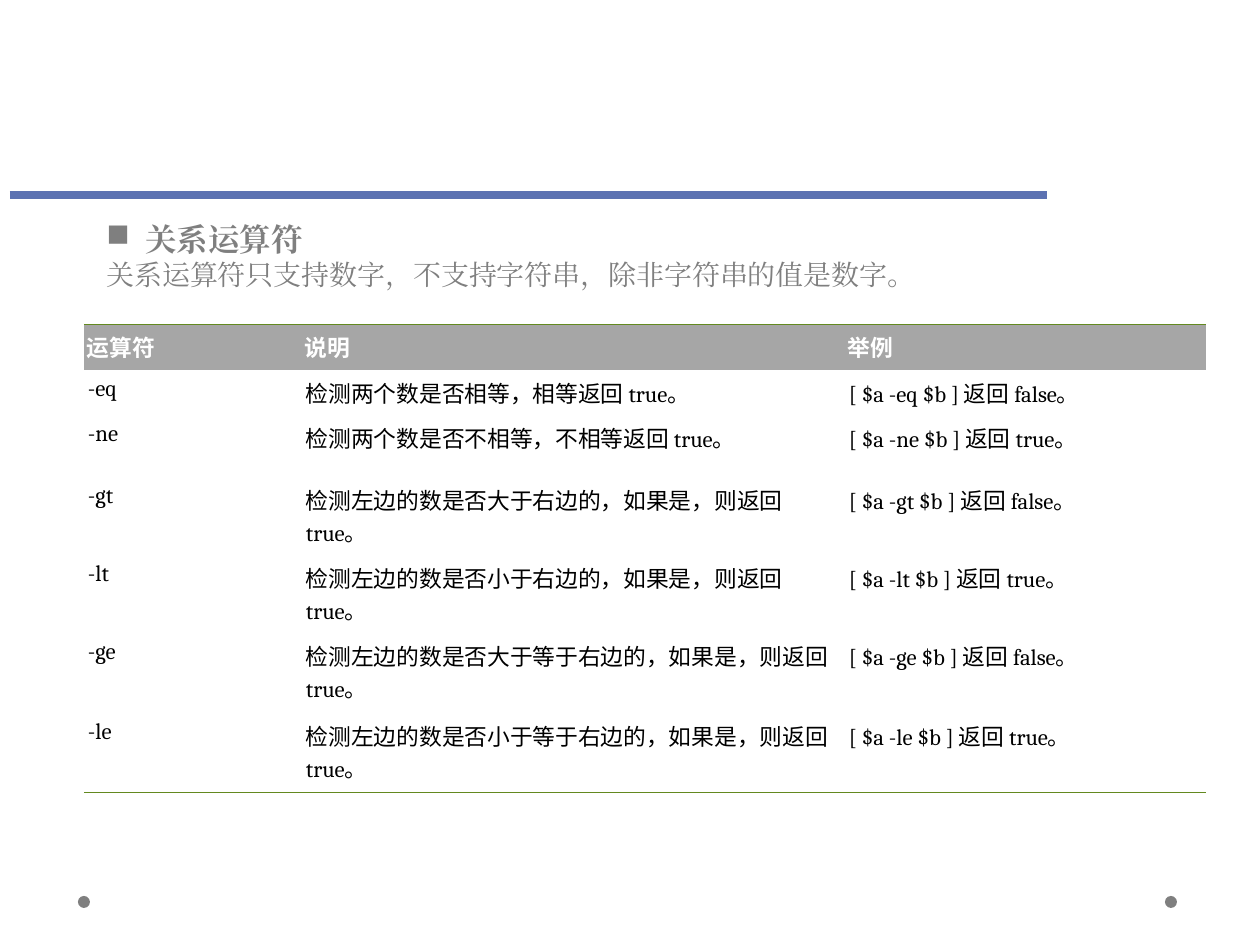
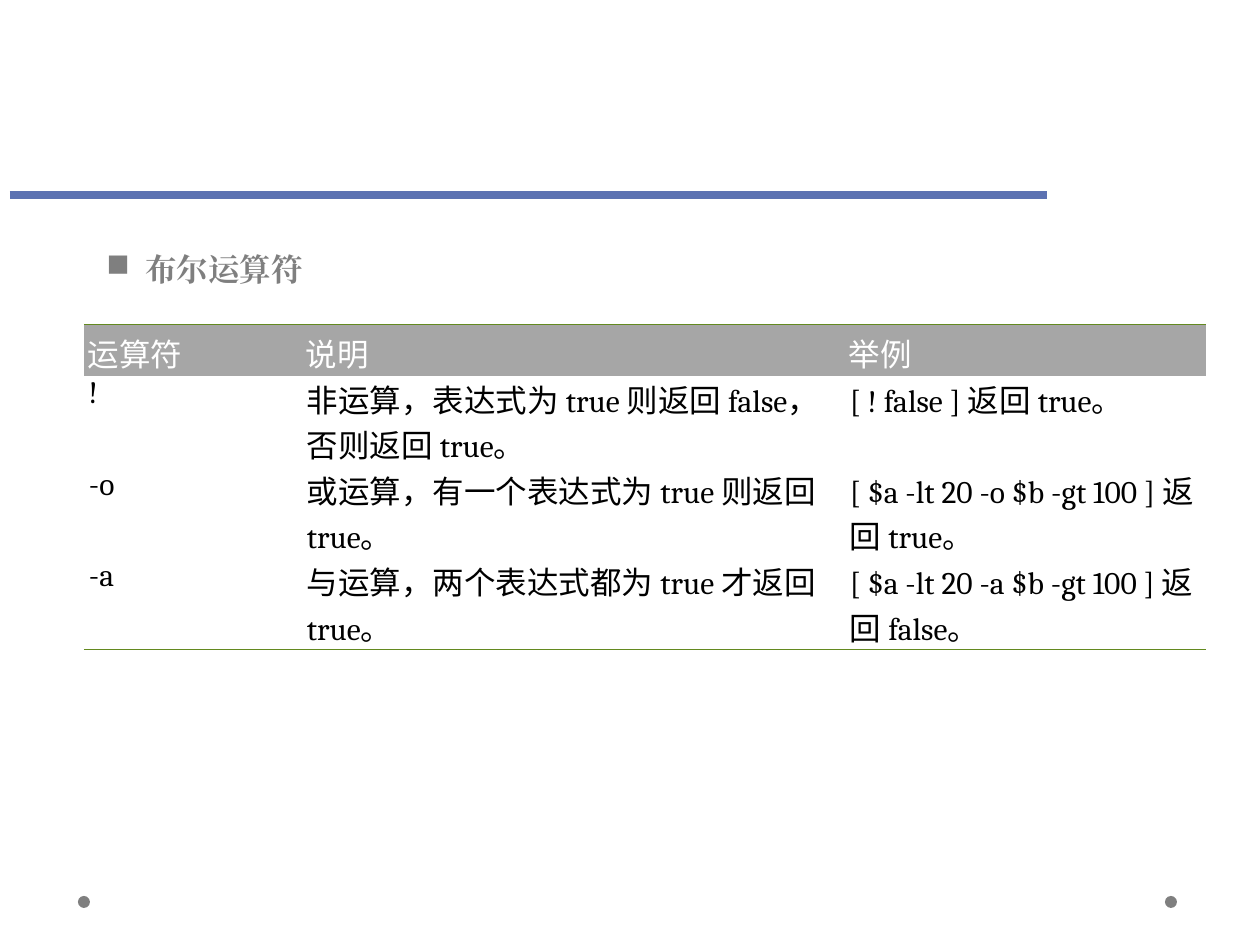
"""Build two slides on shell relational and boolean operators."""
from dataclasses import dataclass

from lxml import etree
from pptx import Presentation
from pptx import util as u
from pptx.dml.color import RGBColor
from pptx.enum import shapes, text
from pptx.oxml.ns import qn

PX_PER_INCH = 126
FONT = "Cambria"
GREY, HEADER_GREY, WHITE, BLACK = "7F7F7F", "A6A6A6", "FFFFFF", "000000"
RULE_BLUE, BORDER_GREEN = "5C72B2", "63891F"
NO_STYLE = "{2D5ABB26-0587-4C30-8999-92F81FD0307C}"
COLUMNS = (218, 543, 361)
TABLE_LEFT, TABLE_TOP = 84, 324
DOT_LEFTS, DOT_TOP, DOT_SIZE = (1165, 78), 896, 12
HEADINGS = ("运算符", "说明", "举例")


@dataclass(frozen=True)
class Insets:
    side: int
    top: int
    bottom: int


@dataclass(frozen=True)
class OperatorTable:
    rows: tuple[tuple[str, str, str], ...]
    heights: tuple[int, ...]
    size: int
    bold_header: bool
    header_insets: Insets
    body_insets: Insets


@dataclass(frozen=True)
class Topic:
    title: str
    box: tuple[int, int, int, int]
    operators: OperatorTable
    remark: str = ""


TOPICS = (
    Topic(
        "关系运算符",
        (94, 214, 873, 84),
        OperatorTable(
            (
                ("-eq", "检测两个数是否相等，相等返回 true。", "[ $a -eq $b ] 返回 false。"),
                ("-ne", "检测两个数是否不相等，不相等返回 true。", "[ $a -ne $b ] 返回 true。"),
                ("-gt", "检测左边的数是否大于右边的，如果是，则返回 true。", "[ $a -gt $b ] 返回 false。"),
                ("-lt", "检测左边的数是否小于右边的，如果是，则返回 true。", "[ $a -lt $b ] 返回 true。"),
                ("-ge", "检测左边的数是否大于等于右边的，如果是，则返回 true。", "[ $a -ge $b ] 返回 false。"),
                ("-le", "检测左边的数是否小于等于右边的，如果是，则返回 true。", "[ $a -le $b ] 返回 true。"),
            ),
            (46, 45, 62, 78, 78, 80, 80),
            13,
            True,
            Insets(3, 6, 6),
            Insets(4, 6, 6),
        ),
        "关系运算符只支持数字，不支持字符串，除非字符串的值是数字。",
    ),
    Topic(
        "布尔运算符",
        (94, 244, 630, 50),
        OperatorTable(
            (
                ("!", "非运算，表达式为 true 则返回 false，否则返回 true。", "[ ! false ] 返回 true。"),
                ("-o", "或运算，有一个表达式为 true 则返回 true。", "[ $a -lt 20 -o $b -gt 100 ] 返回 true。"),
                ("-a", "与运算，两个表达式都为 true 才返回 true。", "[ $a -lt 20 -a $b -gt 100 ] 返回 false。"),
            ),
            (51, 91, 91, 91),
            18,
            False,
            Insets(4, 6, 0),
            Insets(5, 0, 0),
        ),
    ),
)


def px(length: int) -> u.Emu:
    """Turn pixels into EMU."""
    return u.Emu(round(length * 914400 / PX_PER_INCH))


def colour(value: str) -> RGBColor:
    """Turn a hex string into a colour."""
    return RGBColor.from_string(value)


def add_run(paragraph, words: str, size: int, ink: str, bold: bool):
    """Add one styled run to a paragraph."""
    run = paragraph.add_run()
    run.text = words
    run.font.name = FONT
    run.font.size = u.Pt(size)
    run.font.bold = bold
    run.font.color.rgb = colour(ink)
    return run


def add_frame(slide) -> None:
    """Draw the title rule and the two footer dots."""
    for left in DOT_LEFTS:
        dot = slide.shapes.add_shape(
            shapes.MSO_SHAPE.OVAL, px(left), px(DOT_TOP), px(DOT_SIZE), px(DOT_SIZE)
        )
        dot.shadow.inherit = False
        dot.fill.solid()
        dot.fill.fore_color.rgb = colour(GREY)
        dot.line.fill.background()
    rule = slide.shapes.add_connector(
        shapes.MSO_CONNECTOR.STRAIGHT, px(10), px(195), px(1047), px(195)
    )
    rule.line.color.rgb = colour(RULE_BLUE)
    rule.line.width = u.Pt(4.5)
    etree.SubElement(rule._element.spPr, qn("a:effectLst"))


def add_border(cell, edge: str) -> None:
    """Draw a thin green border on one edge of a cell."""
    border = etree.Element(qn(edge), w=str(u.Pt(0.45)))
    fill = etree.SubElement(border, qn("a:solidFill"))
    etree.SubElement(fill, qn("a:srgbClr"), val=BORDER_GREEN)
    cell._tc.get_or_add_tcPr().insert(0, border)


def fill_cell(cell, words: str, operators: OperatorTable, is_header: bool) -> None:
    """Write and style one table cell."""
    insets = operators.header_insets if is_header else operators.body_insets
    cell.margin_left = cell.margin_right = px(insets.side)
    cell.margin_top, cell.margin_bottom = px(insets.top), px(insets.bottom)
    cell.vertical_anchor = text.MSO_ANCHOR.TOP
    if is_header:
        cell.fill.solid()
        cell.fill.fore_color.rgb = colour(HEADER_GREY)
    else:
        cell.fill.background()
    add_run(
        cell.text_frame.paragraphs[0],
        words,
        operators.size,
        WHITE if is_header else BLACK,
        is_header and operators.bold_header,
    )


def add_operators(slide, operators: OperatorTable) -> None:
    """Add the table of operators."""
    lines = (HEADINGS, *operators.rows)
    grid = slide.shapes.add_table(
        len(lines), len(COLUMNS), px(TABLE_LEFT), px(TABLE_TOP),
        px(sum(COLUMNS)), px(sum(operators.heights)),
    ).table
    grid.first_row = grid.horz_banding = False
    grid._tbl.tblPr.find(qn("a:tableStyleId")).text = NO_STYLE
    for column, width in zip(grid.columns, COLUMNS):
        column.width = px(width)
    for index, (height, words) in enumerate(zip(operators.heights, lines)):
        grid.rows[index].height = px(height)
        for cell, entry in zip(grid.rows[index].cells, words):
            fill_cell(cell, entry, operators, index == 0)
            if index == 0:
                add_border(cell, "a:lnT")
            elif index == len(lines) - 1:
                add_border(cell, "a:lnB")


def add_topic_line(paragraph, words: str, size: int, is_title: bool) -> None:
    """Write a hanging line, with a square bullet for the title."""
    properties = paragraph._p.get_or_add_pPr()
    properties.set("marL", str(px(39)))
    properties.set("indent", str(-px(39)))
    if is_title:
        bullet_ink = etree.SubElement(properties, qn("a:buClr"))
        etree.SubElement(bullet_ink, qn("a:srgbClr"), val=GREY)
        etree.SubElement(properties, qn("a:buChar"), char="■")
    run = add_run(paragraph, words, size, GREY, is_title)
    latin = run._r.rPr.find(qn("a:latin"))
    latin.addnext(etree.Element(qn("a:ea"), typeface=FONT))


def add_topic(slide, topic: Topic) -> None:
    """Add the topic title and its remark."""
    frame = slide.shapes.add_textbox(*map(px, topic.box)).text_frame
    frame.word_wrap = True
    add_topic_line(frame.paragraphs[0], topic.title, 18, True)
    if topic.remark:
        add_topic_line(frame.add_paragraph(), topic.remark, 16, False)


def main() -> None:
    """Build and save the slides."""
    deck = Presentation()
    deck.slide_width, deck.slide_height = u.Inches(10), u.Inches(7.5)
    for topic in TOPICS:
        slide = deck.slides.add_slide(deck.slide_layouts[6])
        add_frame(slide)
        add_operators(slide, topic.operators)
        add_topic(slide, topic)
    deck.save("out.pptx")


if __name__ == "__main__":
    main()
